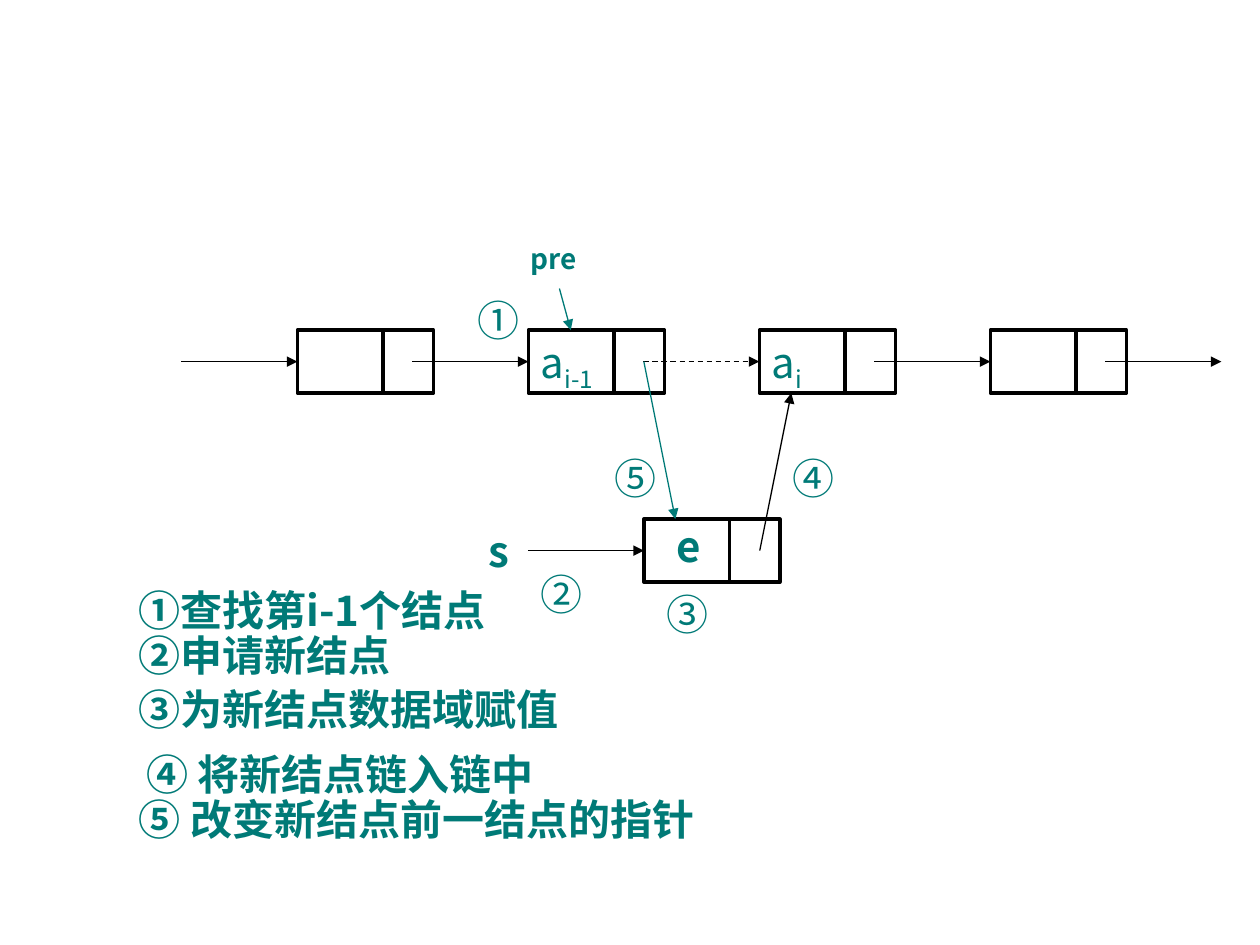
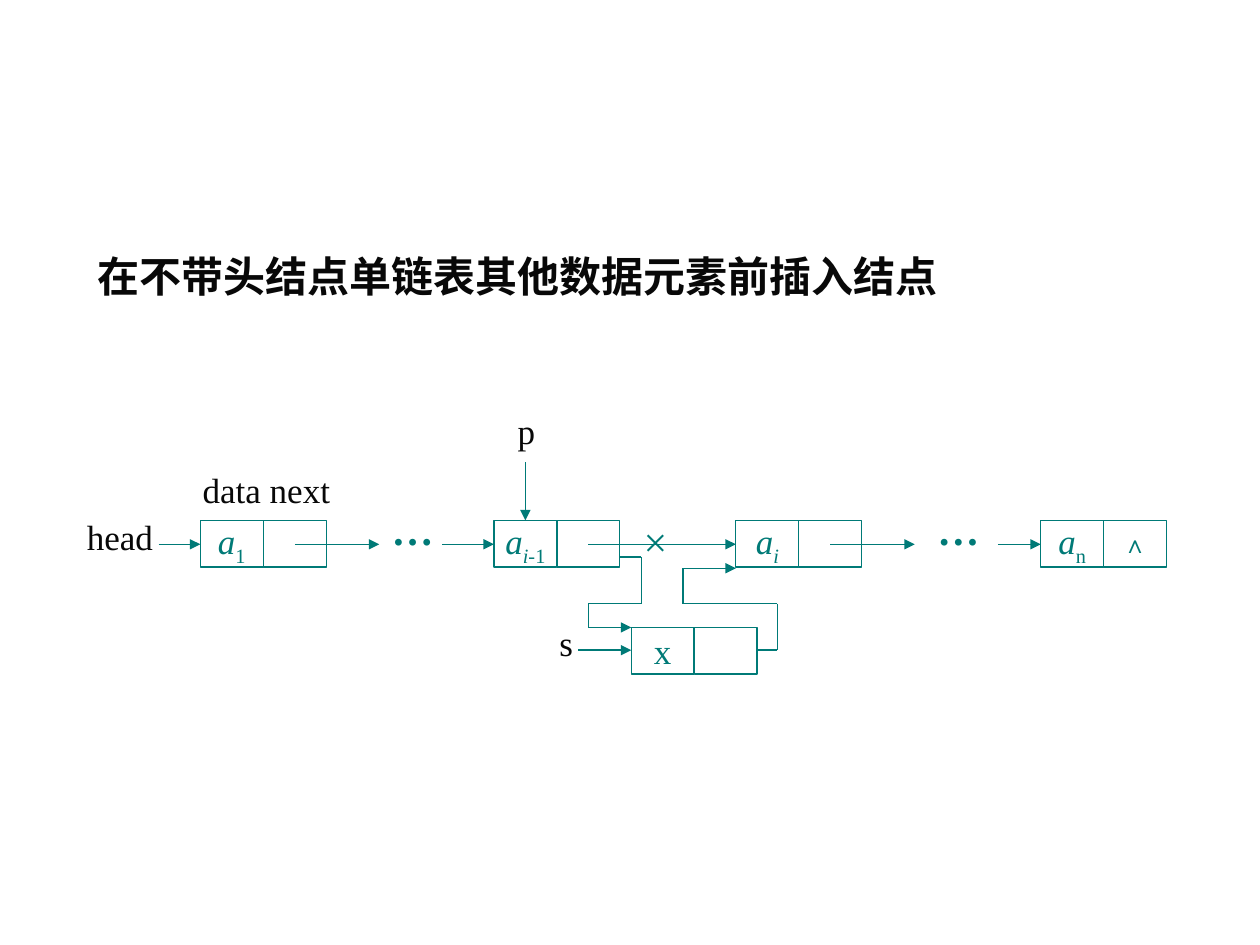
from dataclasses import dataclass
from itertools import pairwise

from lxml import etree
from pptx import Presentation
from pptx.dml.color import RGBColor
from pptx.enum import dml, shapes, text
from pptx.oxml.ns import qn
from pptx.util import Inches, Pt

# Shared look
TEAL, BLACK, INK = "007A77", "000000", "080808"
SANS, SANS_JP, SERIF = "Noto Sans CJK SC", "Noto Sans CJK JP", "Times New Roman"
THIN, THICK = 0.75, 2
SUBSCRIPT = "-25000"


@dataclass(frozen=True)
class Run:
    words: str
    size: float = 24
    font: str = SANS
    color: str = TEAL
    bold: bool = False
    italic: bool = False
    sub: bool = False


@dataclass(frozen=True)
class Label:
    left: float
    top: float
    width: float
    height: float
    run: Run


@dataclass(frozen=True)
class Arrow:
    start: tuple[float, float]
    end: tuple[float, float]
    color: str = TEAL
    dashed: bool = False
    head: bool = True
    weight: float = THIN


@dataclass(frozen=True)
class Step:
    words: str
    space_before: float = 0
    indent: float = 0


# Drawing helpers
def rgb(color: str) -> RGBColor:
    return RGBColor.from_string(color)


def add_run(paragraph, spec_run: Run) -> None:
    run = paragraph.add_run()
    run.text = spec_run.words
    font = run.font
    font.size, font.bold, font.italic = Pt(spec_run.size), spec_run.bold, spec_run.italic
    font.color.rgb = rgb(spec_run.color)
    font.name = spec_run.font
    properties = run._r.get_or_add_rPr()
    east_asian = SANS if spec_run.font == SERIF else spec_run.font
    etree.SubElement(properties, qn("a:ea")).set("typeface", east_asian)
    if spec_run.sub:
        properties.set("baseline", SUBSCRIPT)


def place(shape, left: float, top: float, width: float, height: float) -> None:
    shape.left, shape.top = Inches(left), Inches(top)
    shape.width, shape.height = Inches(width), Inches(height)


def draw_label(slide, label: Label) -> None:
    box = slide.shapes.add_textbox(Inches(label.left), Inches(label.top),
                                   Inches(label.width), Inches(label.height))
    box.text_frame.word_wrap = True
    add_run(box.text_frame.paragraphs[0], label.run)


def draw_arrow(slide, arrow: Arrow) -> None:
    ends = [Inches(value) for value in (*arrow.start, *arrow.end)]
    link = slide.shapes.add_connector(shapes.MSO_CONNECTOR.STRAIGHT, *ends)
    link.line.color.rgb = rgb(arrow.color)
    link.line.width = Pt(arrow.weight)
    if arrow.dashed:
        link.line.dash_style = dml.MSO_LINE.DASH
    if arrow.head:
        etree.SubElement(link.line._get_or_add_ln(), qn("a:tailEnd")).set("type", "triangle")
    etree.SubElement(link._element.spPr, qn("a:effectLst"))


def draw_route(slide, points: list[tuple[float, float]]) -> None:
    """Join points with lines; the last one carries the arrowhead."""
    for start, end in pairwise(points):
        draw_arrow(slide, Arrow(start, end, head=end == points[-1]))


def draw_cell(slide, left: float, top: float, width: float, height: float,
              color: str, weight: float, runs: tuple[Run, ...], centred: bool) -> None:
    cell = slide.shapes.add_shape(shapes.MSO_SHAPE.RECTANGLE, Inches(left), Inches(top),
                                  Inches(width), Inches(height))
    cell.shadow.inherit = False
    cell.fill.background()
    cell.line.color.rgb = rgb(color)
    cell.line.width = Pt(weight)
    frame = cell.text_frame
    frame.word_wrap = not centred
    frame.vertical_anchor = text.MSO_ANCHOR.MIDDLE if centred else text.MSO_ANCHOR.TOP
    paragraph = frame.paragraphs[0]
    paragraph.alignment = text.PP_ALIGN.CENTER if centred else text.PP_ALIGN.LEFT
    for run in runs:
        add_run(paragraph, run)


# Slide 1: the five steps of an insertion
NODE_W, NODE_H, DIVIDER, LINK = 1.08, 0.5, 0.68, 0.92
CHAIN_LEFT, CHAIN_TOP, CHAIN_STEP = 2.36, 2.62, 5.5 / 3
NEW_LEFT, NEW_TOP = 5.11, 4.12


def draw_node(slide, left: float, top: float, runs: tuple[Run, ...] = ()) -> None:
    draw_cell(slide, left, top, NODE_W, NODE_H, BLACK, THICK, runs, centred=False)
    draw_arrow(slide, Arrow((left + DIVIDER, top), (left + DIVIDER, top + NODE_H),
                            BLACK, head=False, weight=THICK))


def build_steps_slide(deck) -> None:
    slide = deck.slides.add_slide(deck.slide_layouts[1])
    title, steps_list = slide.placeholders
    title._element.getparent().remove(title._element)

    # Step list
    steps = (
        Step("①查找第i-1个结点"),
        Step("②申请新结点", 2.5),
        Step("③为新结点数据域赋值", 8),
        Step("④ 将新结点链入链中", 14, 0.06),
        Step("⑤ 改变新结点前一结点的指针", 2.5),
    )
    place(steps_list, 1, 4.67, 4.83, 2.33)
    frame = steps_list.text_frame
    frame.auto_size = text.MSO_AUTO_SIZE.NONE
    for index, step in enumerate(steps):
        paragraph = frame.add_paragraph() if index else frame.paragraphs[0]
        properties = paragraph._p.get_or_add_pPr()
        properties.set("marL", str(Inches(step.indent)))
        properties.set("indent", "0")
        etree.SubElement(properties, qn("a:buNone"))
        paragraph.line_spacing = 0.8
        paragraph.space_before = Pt(step.space_before)
        add_run(paragraph, Run(step.words, bold=True))

    # Chain of nodes and the new node
    contents = ((), (Run("a"), Run("i-1", sub=True)), (Run("a"), Run("i", sub=True)), ())
    for index, runs in enumerate(contents):
        draw_node(slide, CHAIN_LEFT + index * CHAIN_STEP, CHAIN_TOP, runs)
    draw_node(slide, NEW_LEFT, NEW_TOP)

    # Pointers: the dashed one is replaced by the insertion
    middle = CHAIN_TOP + NODE_H / 2
    for index in range(len(contents) + 1):
        end = CHAIN_LEFT + index * CHAIN_STEP
        draw_arrow(slide, Arrow((end - LINK, middle), (end, middle), BLACK, dashed=index == 2))
    for arrow in (
        Arrow((4.19, 4.37), (NEW_LEFT, 4.37), BLACK),
        Arrow((6.03, 4.37), (6.28, 3.12), BLACK),
        Arrow((5.11, middle), (5.36, NEW_TOP)),
        Arrow((4.44, 2.29), (4.53, CHAIN_TOP)),
    ):
        draw_arrow(slide, arrow)

    # Step numbers and pointer names
    for label in (
        Label(3.69, 2.29, 0.92, 0.5, Run("①")),
        Label(4.19, 4.46, 0.83, 0.5, Run("②")),
        Label(5.19, 4.62, 0.92, 0.5, Run("③")),
        Label(6.19, 3.54, 0.83, 0.5, Run("④", font=SANS_JP)),
        Label(4.78, 3.54, 0.83, 0.5, Run("⑤", font=SANS_JP)),
        Label(4.11, 1.87, 0.58, 0.37, Run("pre", 16, SANS_JP, bold=True)),
        Label(3.78, 4.12, 0.58, 0.5, Run("s", font=SANS_JP, bold=True)),
        Label(5.27, 4.08, 0.39, 0.5, Run("e", font=SANS_JP, bold=True)),
    ):
        draw_label(slide, label)


# Slide 2: inserting into a list without a head node
CELL_W, CELL_H = 0.5, 0.37
ROW_TOP, ROW_MIDDLE = 4.13, 4.32


def serif(words: str, size: float = 20, color: str = TEAL, bold: bool = False,
          italic: bool = False, sub: bool = False) -> Run:
    return Run(words, size, SERIF, color, bold, italic, sub)


def draw_pair(slide, left: float, top: float, data: tuple[Run, ...],
              link: tuple[Run, ...] = ()) -> None:
    for index, runs in enumerate((data, link)):
        draw_cell(slide, left + index * CELL_W, top, CELL_W, CELL_H, TEAL, THIN, runs,
                  centred=True)


def build_insertion_slide(deck) -> None:
    slide = deck.slides.add_slide(deck.slide_layouts[5])
    title = slide.shapes.title
    place(title, 0.67, 1.94, 7.75, 0.5)
    title.text_frame.vertical_anchor = text.MSO_ANCHOR.TOP
    title.text_frame.auto_size = text.MSO_AUTO_SIZE.NONE
    heading = title.text_frame.paragraphs[0]
    heading.alignment = text.PP_ALIGN.LEFT
    add_run(heading, serif("在不带头结点单链表其他数据元素前插入结点", 24, INK, bold=True))

    # Nodes
    a = serif("a", italic=True)
    draw_pair(slide, 1.59, ROW_TOP, (a, serif("1", sub=True)))
    draw_pair(slide, 3.92, ROW_TOP,
              (a, serif("i-", italic=True, sub=True), serif("1", sub=True)))
    draw_pair(slide, 5.84, ROW_TOP, (a, serif("i", italic=True, sub=True)))
    draw_pair(slide, 8.26, ROW_TOP, (a, serif("n", sub=True)), (serif("∧", 14, bold=True),))
    draw_pair(slide, 5.01, 4.98, (serif("x"),))

    # Pointers along the row, then to p and s
    for start, end in ((1.26, 1.59), (2.34, 3.01), (3.51, 3.92),
                       (4.67, 5.84), (6.59, 7.26), (7.92, 8.26)):
        draw_arrow(slide, Arrow((start, ROW_MIDDLE), (end, ROW_MIDDLE)))
    draw_arrow(slide, Arrow((4.17, 3.67), (4.17, ROW_TOP)))
    draw_arrow(slide, Arrow((4.59, 5.16), (5.01, 5.16)))

    # New links into and out of x
    draw_route(slide, [(4.92, 4.42), (5.09, 4.42), (5.09, 4.79),
                       (4.67, 4.79), (4.67, 4.98), (5.01, 4.98)])
    draw_route(slide, [(6.01, 5.16), (6.17, 5.16), (6.17, 4.79),
                       (5.42, 4.79), (5.42, 4.51), (5.84, 4.51)])

    # Names, gaps and the cut link
    for label in (
        Label(4.01, 3.2, 0.42, 0.44, serif("p", color=INK)),
        Label(0.59, 4.04, 0.75, 0.44, serif("head", color=INK)),
        Label(1.51, 3.67, 1.42, 0.44, serif("data next", color=INK)),
        Label(4.34, 4.88, 0.42, 0.44, serif("s", color=INK)),
        Label(3.01, 3.95, 0.75, 0.5, serif("…", 24, bold=True)),
        Label(7.34, 3.95, 0.75, 0.5, serif("…", 24, bold=True)),
        Label(5.01, 4.04, 0.5, 0.5, serif("×", 24)),
    ):
        draw_label(slide, label)


def main() -> None:
    deck = Presentation()
    deck.slide_width, deck.slide_height = Inches(10), Inches(7.5)
    build_steps_slide(deck)
    build_insertion_slide(deck)
    deck.save("out.pptx")


if __name__ == "__main__":
    main()
